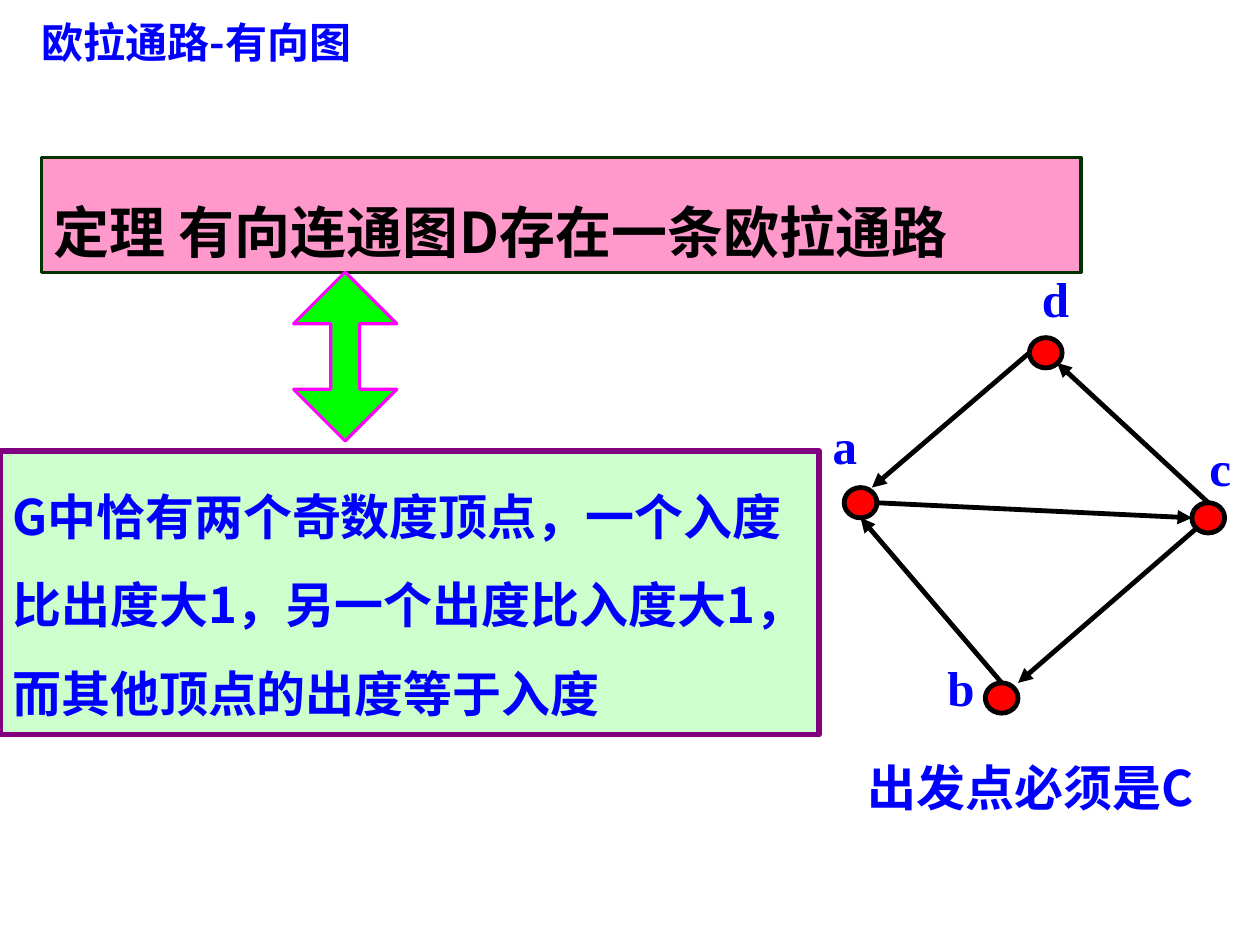
from pptx import Presentation
from pptx.util import Inches, Pt
from pptx.dml.color import RGBColor
from pptx.enum.shapes import MSO_SHAPE, MSO_CONNECTOR
from pptx.enum.text import PP_ALIGN, MSO_ANCHOR
from pptx.oxml.ns import qn
from lxml.etree import SubElement

SANS, SERIF = "Noto Sans CJK SC", "Times New Roman"
BLUE, BLACK = "0000FF", "000000"
DOT = (0.26, 0.24)

TITLE = "欧拉通路-有向图"
BOXES = [
    ("定理 有向连通图D存在一条欧拉通路", (0.33, 1.25, 8.25, 0.91),
     "FF99CC", "003300", 1.75, 32, BLACK),
    ("G中恰有两个奇数度顶点，一个入度比出度大1，另一个出度比入度大1，而其他顶点的出度等于入度",
     (0, 3.58, 6.5, 2.25), "CCFFCC", "800080", 3.25, 28, BLUE),
]
NODES = {
    "a": ((6.7, 3.87), (6.51, 3.25)),
    "b": ((7.82, 5.42), (7.42, 5.17)),
    "c": ((9.46, 3.99), (9.5, 3.42)),
    "d": ((8.17, 2.68), (8.17, 2.08)),
}
EDGES = [
    ((6.95, 3.99), (9.46, 4.11)),
    ((8.17, 2.8), (6.92, 3.87)),
    ((7.95, 5.42), (6.83, 4.11)),
    ((9.59, 3.99), (8.39, 2.88)),
    ((9.5, 4.19), (8.08, 5.42)),
]
NOTE = "出发点必须是C"


def color(code):
    return RGBColor.from_string(code)


def write(shape, text, size, ink=BLUE, face=SANS, space=None, wrap=True):
    frame = shape.text_frame
    frame.text = text
    frame.word_wrap = wrap
    frame.vertical_anchor = MSO_ANCHOR.TOP
    para = frame.paragraphs[0]
    para.alignment = PP_ALIGN.LEFT
    para.line_spacing = space
    for run in para.runs:
        font = run.font
        font.name, font.size, font.bold = face, Pt(size), True
        font.color.rgb = color(ink)
        SubElement(font._element, qn("a:ea")).set("typeface", face)


def draw(kind, area, fill, edge, width):
    shape = slide.shapes.add_shape(kind, *map(Inches, area))
    shape.shadow.inherit = False
    shape.fill.solid()
    shape.fill.fore_color.rgb = color(fill)
    shape.line.color.rgb = color(edge)
    shape.line.width = Pt(width)
    return shape


def label(text, area, **style):
    box = slide.shapes.add_textbox(*map(Inches, area))
    write(box, text, 28, **style)


def arrow(start, end):
    line = slide.shapes.add_connector(
        MSO_CONNECTOR.STRAIGHT, *map(Inches, start + end))
    line.line.color.rgb = color(BLACK)
    line.line.width = Pt(2.75)
    SubElement(line.line._get_or_add_ln(), qn("a:tailEnd")).set("type", "triangle")
    SubElement(line._element.spPr, qn("a:effectLst"))


deck = Presentation()
deck.slide_width, deck.slide_height = Inches(10), Inches(7.5)
slide = deck.slides.add_slide(deck.slide_layouts[5])

title = slide.shapes.title
title.left, title.top, title.width, title.height = map(Inches, (0.23, 0.08, 3.02, 0.5))
write(title, TITLE, 24)

for text, area, fill, edge, width, size, ink in BOXES:
    write(draw(MSO_SHAPE.RECTANGLE, area, fill, edge, width), text, size, ink, space=1.5)

link = draw(MSO_SHAPE.UP_DOWN_ARROW, (2.33, 2.16, 0.82, 1.34), "00FF00", "FF00FF", 1.75)
link.adjustments[0], link.adjustments[1] = 0.5, 0.28

for start, end in EDGES:
    arrow(start, end)
for name, (spot, tag) in NODES.items():
    draw(MSO_SHAPE.OVAL, spot + DOT, "FF0000", BLACK, 2.75)
    label(name, tag + (0.83, 0.82), face=SERIF, wrap=False)

label(NOTE, (6.79, 5.96, 2.84, 0.57))

deck.save("out.pptx")
